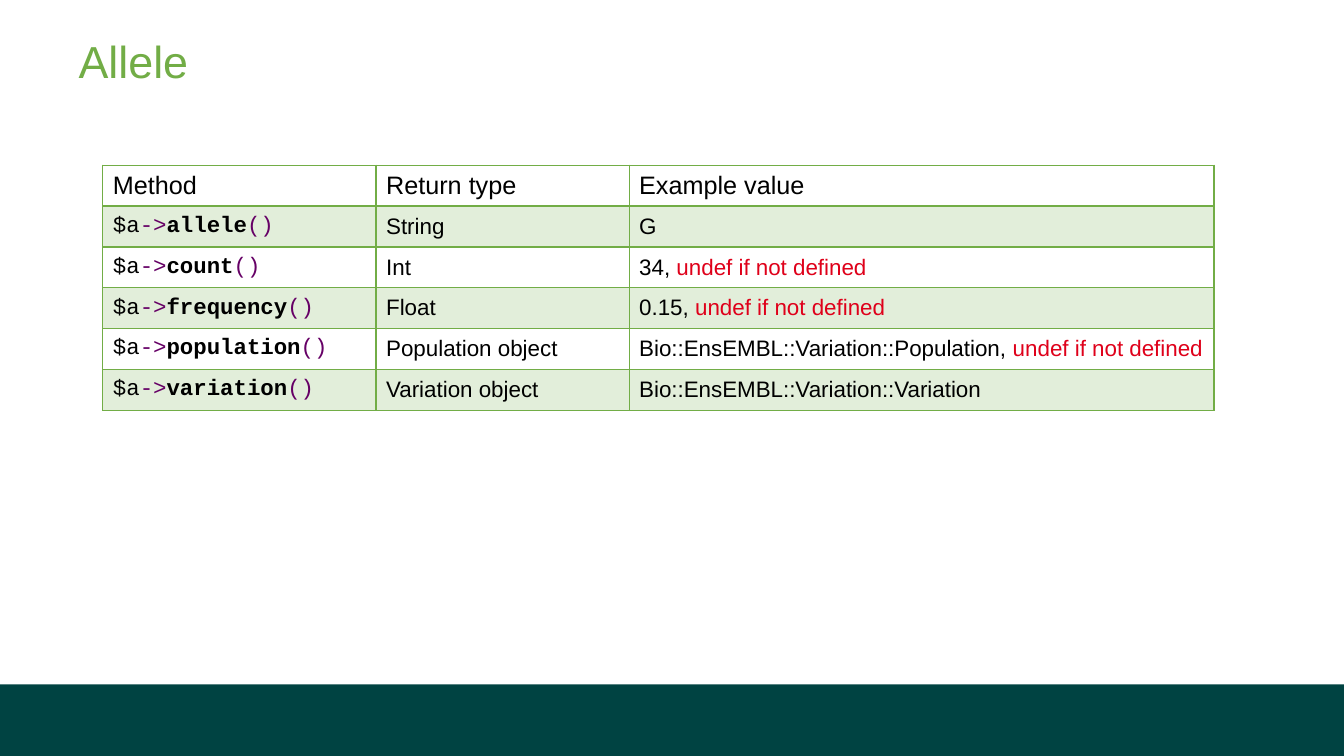
from dataclasses import dataclass

from lxml.etree import SubElement
from pptx import Presentation
from pptx.dml.color import RGBColor as Color
from pptx.enum.shapes import MSO_SHAPE as Shape
from pptx.enum.text import MSO_ANCHOR as Anchor, PP_ALIGN as Align
from pptx.oxml import parse_xml
from pptx.oxml.ns import nsdecls, qn
from pptx.util import Inches, Pt


@dataclass(frozen=True)
class Theme:
    green: str = "72AD46"
    footer: str = "004342"
    black: str = "000000"
    purple: str = "660066"
    red: str = "DF001A"
    body_font: str = "Arial"
    code_font: str = "Courier New"
    title_size: int = 32
    header_size: int = 18
    body_size: int = 16
    band_opacity: int = 20
    line_width: int = 1
    header_line_width: int = 2


class SlideBuilder:
    def __init__(self, deck, theme):
        self.theme = theme
        self.slide = deck.slides.add_slide(deck.slide_layouts[5])

    def add_span(self, para, text, size, color=None, font=None, bold=False):
        span = para.add_run()
        span.text = text
        span.font.name = font or self.theme.body_font
        span.font.size = Pt(size)
        span.font.bold = bold
        span.font.color.rgb = Color.from_string(color or self.theme.black)

    def add_footer(self, left, top, width, height):
        bar = self.slide.shapes.add_shape(
            Shape.RECTANGLE, Inches(left), Inches(top), Inches(width), Inches(height))
        bar.shadow.inherit = False
        bar.fill.solid()
        bar.fill.fore_color.rgb = Color.from_string(self.theme.footer)
        bar.line.fill.background()

    def add_title(self, text, left, top, width, height):
        title = self.slide.shapes.title
        title.left, title.top = Inches(left), Inches(top)
        title.width, title.height = Inches(width), Inches(height)
        frame = title.text_frame
        frame.margin_left = frame.margin_right = 0
        frame.margin_top = frame.margin_bottom = 0
        frame.vertical_anchor = Anchor.TOP
        para = frame.paragraphs[0]
        para.alignment = Align.LEFT
        self.add_span(para, text, self.theme.title_size, self.theme.green)

    def fill_cell(self, cell, banded):
        if not banded:
            cell.fill.background()
            return
        cell.fill.solid()
        cell.fill.fore_color.rgb = Color.from_string(self.theme.green)
        color = cell._tc.tcPr.find(qn("a:solidFill")).find(qn("a:srgbClr"))
        SubElement(color, qn("a:alpha"), val=str(self.theme.band_opacity * 1000))

    def border_cell(self, cell, bottom_width):
        properties = cell._tc.get_or_add_tcPr()
        for index, side in enumerate("LRTB"):
            width = bottom_width if side == "B" else self.theme.line_width
            properties.insert(index, parse_xml(
                f'<a:ln{side} {nsdecls("a")} w="{Pt(width)}"><a:solidFill>'
                f'<a:srgbClr val="{self.theme.green}"/></a:solidFill></a:ln{side}>'))

    def write_method(self, para, name):
        theme = self.theme
        for text, color, bold in (("$a", theme.black, False), ("->", theme.purple, False),
                                  (name, theme.black, True), ("()", theme.purple, False)):
            self.add_span(para, text, theme.body_size, color, theme.code_font, bold)

    def add_method_table(self, headers, methods, left, top, widths, row_height):
        theme = self.theme
        row_count = len(methods) + 1
        table = self.slide.shapes.add_table(
            row_count, len(headers), Inches(left), Inches(top),
            Inches(sum(widths)), Inches(row_height * row_count)).table
        table.first_row = table.horz_banding = False
        for column, width in zip(table.columns, widths):
            column.width = Inches(width)
        for row_index, row in enumerate(table.rows):
            row.height = Inches(row_height)
            bottom_width = theme.line_width if row_index else theme.header_line_width
            for cell in row.cells:
                cell.vertical_anchor = Anchor.MIDDLE
                self.fill_cell(cell, row_index % 2 == 1)
                self.border_cell(cell, bottom_width)
        for cell, text in zip(table.rows[0].cells, headers):
            self.add_span(cell.text_frame.paragraphs[0], text, theme.header_size)
        for row_index, (name, return_type, example, note) in enumerate(methods, 1):
            method_para, type_para, example_para = (
                cell.text_frame.paragraphs[0] for cell in table.rows[row_index].cells)
            self.write_method(method_para, name)
            self.add_span(type_para, return_type, theme.body_size)
            self.add_span(example_para, example, theme.body_size)
            if note:
                self.add_span(example_para, note, theme.body_size, theme.red)


def main():
    deck = Presentation()
    deck.slide_width, deck.slide_height = Inches(13.33), Inches(7.5)
    undefined = "undef if not defined"
    methods = [
        ("allele", "String", "G", ""),
        ("count", "Int", "34, ", undefined),
        ("frequency", "Float", "0.15, ", undefined),
        ("population", "Population object", "Bio::EnsEMBL::Variation::Population, ", undefined),
        ("variation", "Variation object", "Bio::EnsEMBL::Variation::Variation", ""),
    ]
    builder = SlideBuilder(deck, Theme())
    builder.add_footer(0, 6.79, 13.33, 0.71)
    builder.add_title("Allele", 0.78, 0.33, 11.89, 0.83)
    builder.add_method_table(("Method", "Return type", "Example value"), methods,
                             1.02, 1.64, (2.71, 2.51, 5.8), 2.43 / 6)
    deck.save("out.pptx")


if __name__ == "__main__":
    main()
